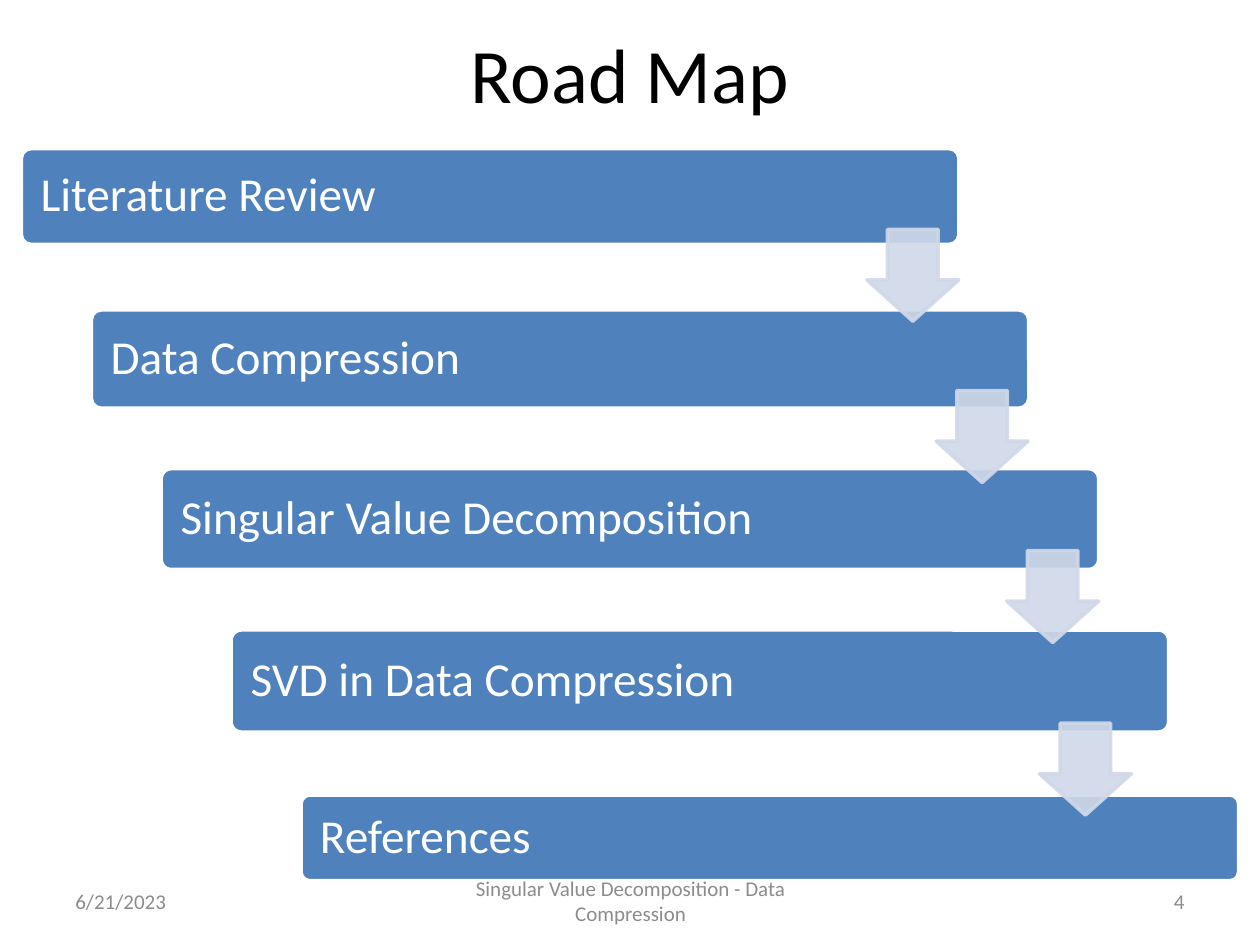
"""Build the road map slide: five stepped bars linked by down arrows."""
from lxml import etree
from pptx import Presentation
from pptx.dml.color import RGBColor
from pptx.enum.shapes import MSO_SHAPE
from pptx.enum.text import MSO_ANCHOR, PP_ALIGN
from pptx.oxml.ns import qn
from pptx.util import Inches, Pt

BAR = MSO_SHAPE.ROUNDED_RECTANGLE
ARROW = MSO_SHAPE.DOWN_ARROW
MIDDLE = MSO_ANCHOR.MIDDLE
LEFT, CENTER, RIGHT = PP_ALIGN.LEFT, PP_ALIGN.CENTER, PP_ALIGN.RIGHT

STEPS = [
    ("Literature Review", 1.18, 0.76),
    ("Data Compression", 2.46, 0.78),
    ("Singular Value Decomposition", 3.72, 0.8),
    ("SVD in Data Compression", 5, 0.81),
    ("References", 6.31, 0.68),
]
ARROWS = [(6.88, 1.82), (7.43, 3.1), (7.99, 4.37), (8.25, 5.74)]
FOOTER = [
    ("6/21/2023", 0.5, 2.33, LEFT),
    ("Singular Value Decomposition - Data Compression", 3.42, 3.17, CENTER),
    ("4", 7.17, 2.33, RIGHT),
]


def color(code):
    return RGBColor.from_string(code)


class Deck:
    """Hold the style and the current slide."""

    font = "Calibri"
    blue, pale, white, black, gray = "4F81BD", "D0D8E8", "FFFFFF", "000000", "8C8C8C"

    def __init__(self, slide):
        self.slide = slide

    def set_text(self, shape, text, size, code, align):
        frame = shape.text_frame
        frame.word_wrap = True
        frame.vertical_anchor = MIDDLE
        para = frame.paragraphs[0]
        para.text = text
        para.alignment = align
        para.font.name = self.font
        para.font.size = Pt(size)
        para.font.color.rgb = color(code)
        return frame

    def label(self, text, box, size, code, align):
        shape = self.slide.shapes.add_textbox(*map(Inches, box))
        self.set_text(shape, text, size, code, align)

    def block(self, kind, box, fill, line, ratios):
        shape = self.slide.shapes.add_shape(kind, *map(Inches, box))
        shape.shadow.inherit = False
        shape.fill.solid()
        shape.fill.fore_color.rgb = color(fill)
        shape.line.color.rgb = color(line)
        shape.line.width = Pt(2)
        for index, ratio in enumerate(ratios):
            shape.adjustments[index] = ratio
        return shape

    def bar(self, text, box):
        shape = self.block(BAR, box, self.blue, self.white, [0.1])
        frame = self.set_text(shape, text, 27, self.white, LEFT)
        frame.margin_left = Inches(0.13)
        frame.margin_top = frame.margin_bottom = Inches(0.11)
        frame.paragraphs[0].line_spacing = 0.9

    def arrow(self, left, top):
        box = (left, top, 0.73, 0.73)
        shape = self.block(ARROW, box, self.pale, self.pale, [0.55, 0.45])
        for tint in shape.element.spPr.iter(qn("a:srgbClr")):
            etree.SubElement(tint, qn("a:alpha"), val="90000")


def main():
    show = Presentation()
    show.slide_width, show.slide_height = Inches(10), Inches(7.5)
    deck = Deck(show.slides.add_slide(show.slide_layouts[6]))
    deck.label("Road Map", (0.5, 0.08, 9, 1), 44, deck.black, CENTER)
    for index, (text, top, height) in enumerate(STEPS):
        deck.bar(text, (0.17 + 0.555 * index, top, 7.44, height))
    for left, top in ARROWS:
        deck.arrow(left, top)
    for text, left, width, align in FOOTER:
        deck.label(text, (left, 6.95, width, 0.4), 12, deck.gray, align)
    show.save("out.pptx")


if __name__ == "__main__":
    main()
